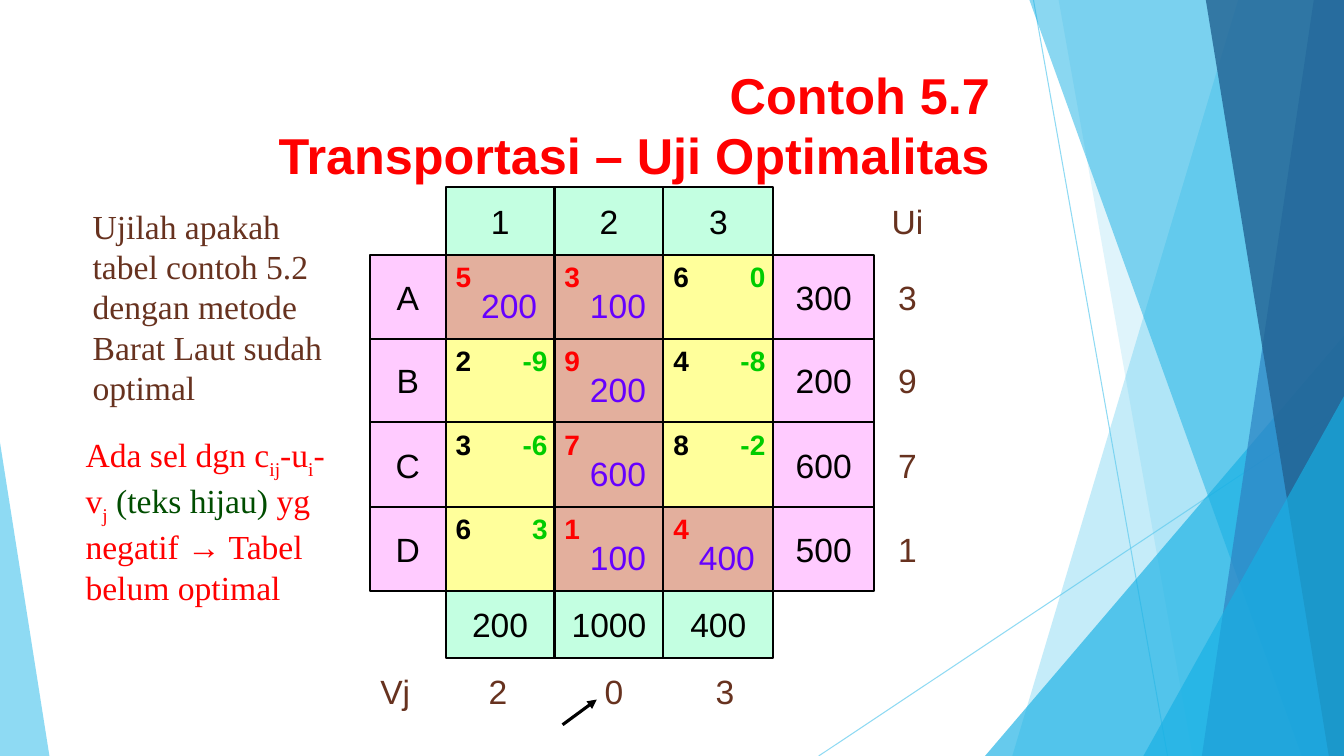
from copy import deepcopy

from pptx import Presentation
from pptx.dml.color import RGBColor
from pptx.enum.shapes import MSO_CONNECTOR as LINE, MSO_SHAPE as SHAPE
from pptx.enum.text import MSO_ANCHOR as ANCHOR, PP_ALIGN as ALIGN
from pptx.oxml.ns import qn
from pptx.oxml.xmlchemy import OxmlElement
from pptx.util import Inches, Pt

BLACK = RGBColor(0x00, 0x00, 0x00)
RED = RGBColor(0xFF, 0x00, 0x00)
BROWN = RGBColor(0x67, 0x32, 0x1F)
GREEN = RGBColor(0x00, 0xCC, 0x00)
DARK = RGBColor(0x00, 0x4D, 0x00)
VIOLET = RGBColor(0x66, 0x00, 0xFF)
YELLOW = RGBColor(0xFF, 0xFF, 0x9B)
CLAY = RGBColor(0xE3, 0xAF, 0x9D)
PINK = RGBColor(0xFF, 0xCB, 0xFF)
MINT = RGBColor(0xC3, 0xFF, 0xE1)
SKY = RGBColor(0x5F, 0xCB, 0xEF)
AZURE = RGBColor(0x17, 0xB0, 0xE4)
BLUE = RGBColor(0x2E, 0x83, 0xC3)
NAVY = RGBColor(0x22, 0x62, 0x92)
WIDTH, HEIGHT = 13.33, 7.5


def fade(shape, percent):
    """Make the fill or line colour of a shape translucent."""
    color = next(shape._element.spPr.iter(qn("a:srgbClr")))
    alpha = OxmlElement("a:alpha")
    alpha.set("val", str(percent * 1000))
    color.append(alpha)


def write(shape, text, color, size=24, bold=False, align=ALIGN.CENTER,
          face="Arial", wrap=False):
    frame = shape.text_frame
    frame.text = text
    frame.word_wrap = wrap
    par = frame.paragraphs[0]
    par.alignment = align
    font = par.runs[0].font
    font.name, font.size, font.bold = face, Pt(size), bold
    font.color.rgb = color
    return par


deck = Presentation()
deck.slide_width, deck.slide_height = Inches(WIDTH), Inches(HEIGHT)
slide = deck.slides.add_slide(deck.slide_layouts[5])
shapes = slide.shapes

# Blue facets along the edges
for x1, y1, x2 in [(10.25, 0, 11.58), (WIDTH, 4.03, 8.12)]:
    ray = shapes.add_connector(LINE.STRAIGHT, Inches(x1), Inches(y1),
                               Inches(x2), Inches(HEIGHT))
    ray.line.color.rgb = SKY
    ray.line.width = Pt(0.75)
    fade(ray, 70)
    ray._element.spPr.append(OxmlElement("a:effectLst"))

# Bands give top and foot; peaks give left, top, width and tip
facets = [((12.28, 10.04), SKY, 36), ((10.5, 11.83), SKY, 20),
          ((9.77, 3.33, 3.56, 1), AZURE, 66), ((10.21, 12.91), AZURE, 50),
          ((13.03, 11.92), BLUE, 70), ((11.96, 13.18), NAVY, 80),
          ((11.34, 3.93, 1.99, 1), AZURE, 66), ((0, 4.39, 0.49, 0), SKY, 70)]
for form, color, alpha in facets:
    if len(form) == 2:
        top, foot = form
        pen = shapes.build_freeform(Inches(top), 0)
        pen.add_line_segments([(Inches(x), Inches(y)) for x, y in
                               [(WIDTH, 0), (WIDTH, HEIGHT), (foot, HEIGHT)]])
        facet = pen.convert_to_shape()
    else:
        x, y, w, tip = form
        facet = shapes.add_shape(SHAPE.ISOSCELES_TRIANGLE, Inches(x), Inches(y),
                                 Inches(w), Inches(HEIGHT - y))
        facet.adjustments[0] = tip
    facet.shadow.inherit = False
    facet.fill.solid()
    facet.fill.fore_color.rgb = color
    facet.line.fill.background()
    fade(facet, alpha)

# Title
title = shapes.title
title.left, title.top = Inches(1.92), Inches(0.61)
title.width, title.height = Inches(8), Inches(1.25)
title.text_frame.vertical_anchor = ANCHOR.MIDDLE
par = write(title, "Contoh 5.7", RED, 36, True, ALIGN.RIGHT, wrap=True)
style = par.runs[0]._r.rPr
par.add_line_break()
par._p.find(qn("a:br")).append(deepcopy(style))
run = par.add_run()
run.text = "Transportasi – Uji Optimalitas"
run._r.insert(0, deepcopy(style))

# Task and verdict
task = shapes.add_textbox(Inches(0.82), Inches(1.99), Inches(2.68), Inches(2.12))
write(task, "Ujilah apakah tabel contoh 5.2 dengan metode Barat Laut sudah optimal",
      BROWN, align=ALIGN.LEFT, face="Times New Roman", wrap=True)

verdict = shapes.add_textbox(Inches(0.75), Inches(4.26), Inches(2.68), Inches(1.72))
par = write(verdict, "Ada sel dgn c", RED, align=ALIGN.LEFT,
            face="Times New Roman", wrap=True)
style = par.runs[0]._r.rPr
for text, color, sub in [("ij", RED, True), ("-u", RED, False), ("i", RED, True),
                         ("-v", RED, False), ("j", RED, True),
                         (" (teks hijau)", DARK, False),
                         (" yg negatif → Tabel belum optimal", RED, False)]:
    run = par.add_run()
    run.text = text
    run._r.insert(0, deepcopy(style))
    run.font.color.rgb = color
    if sub:
        run._r.rPr.set("baseline", "-25000")

# Transport grid: inner cells hold cost, allocation and reduced cost
cols = [3.67, 4.42, 5.5, 6.58, 7.67, 8.67]
rows = [1.86, 2.53, 3.36, 4.19, 5.03, 5.86, 6.53]
grid = [
    ["", "1", "2", "3", ""],
    ["A", ("5", "200", ""), ("3", "100", ""), ("6", "", "0"), "300"],
    ["B", ("2", "", "-9"), ("9", "200", ""), ("4", "", "-8"), "200"],
    ["C", ("3", "", "-6"), ("7", "600", ""), ("8", "", "-2"), "600"],
    ["D", ("6", "", "3"), ("1", "100", ""), ("4", "400", ""), "500"],
    ["", "200", "1000", "400", ""],
]
for r, line in enumerate(grid):
    for c, item in enumerate(line):
        if not item:
            continue
        x, y = cols[c], rows[r]
        cell = shapes.add_shape(SHAPE.RECTANGLE, Inches(x), Inches(y),
                                Inches(cols[c + 1] - x), Inches(rows[r + 1] - y))
        cell.shadow.inherit = False
        cell.fill.solid()
        cell.line.color.rgb = BLACK
        cell.line.width = Pt(1.5)
        if isinstance(item, str):
            cell.fill.fore_color.rgb = PINK if c in (0, 4) else MINT
            write(cell, item, BLACK)
            continue
        cost, load, gap = item
        cell.fill.fore_color.rgb = CLAY if load else YELLOW
        cell.text_frame.vertical_anchor = ANCHOR.TOP
        write(cell, cost, RED if load else BLACK, 20, True, ALIGN.LEFT)
        if load:
            box = shapes.add_textbox(Inches(x + 0.25), Inches(y + 0.25),
                                     Inches(0.76), Inches(0.5))
            write(box, load, VIOLET)
        else:
            box = shapes.add_textbox(Inches(x + 0.66), Inches(y),
                                     Inches(0.45), Inches(0.43))
            write(box, gap, GREEN, 20, True, ALIGN.RIGHT)

# Row and column multipliers
marks = [(9, (rows[r] + rows[r + 1]) / 2 - 0.25, text)
         for r, text in enumerate(["Ui", "3", "9", "7", "1"])]
marks += [(x, 6.61, text) for x, text in
          [(3.92, "Vj"), (4.94, "2"), (6.09, "0"), (7.19, "3")]]
for mid, y, text in marks:
    box = shapes.add_textbox(Inches(mid - 0.4), Inches(y), Inches(0.8), Inches(0.5))
    write(box, text, BROWN)

arrow = shapes.add_connector(LINE.STRAIGHT, Inches(5.58), Inches(7.19),
                             Inches(5.92), Inches(6.94))
arrow.line.color.rgb = BLACK
arrow.line.width = Pt(2.25)
head = OxmlElement("a:tailEnd")
head.set("type", "triangle")
arrow.line._ln.append(head)
arrow._element.spPr.append(OxmlElement("a:effectLst"))

deck.save("out.pptx")
